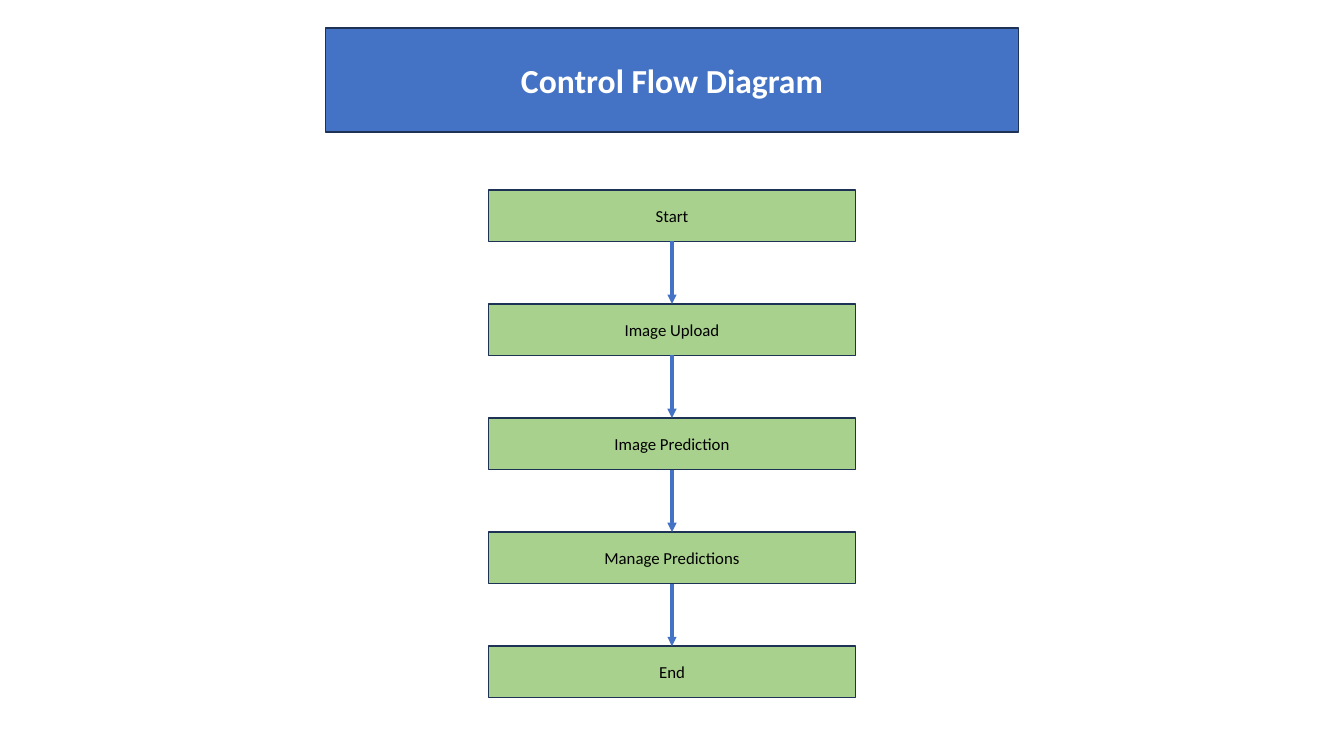
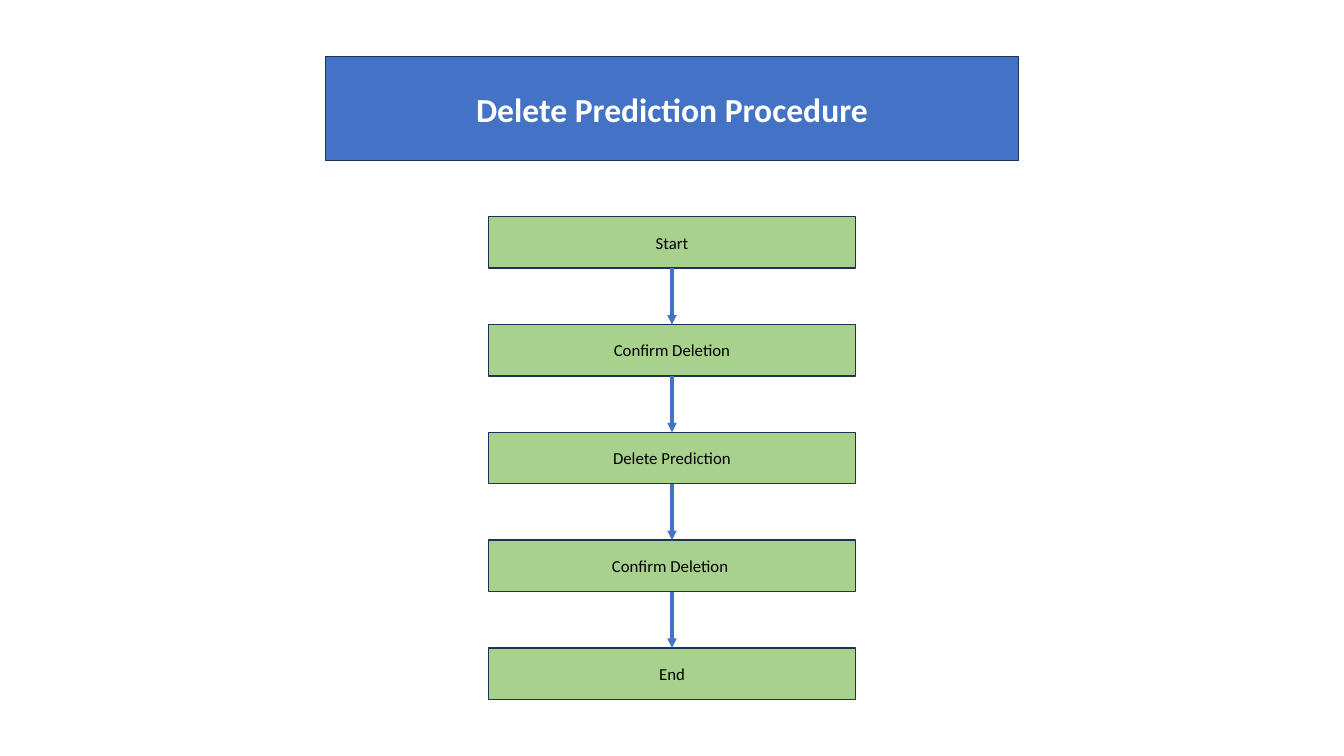
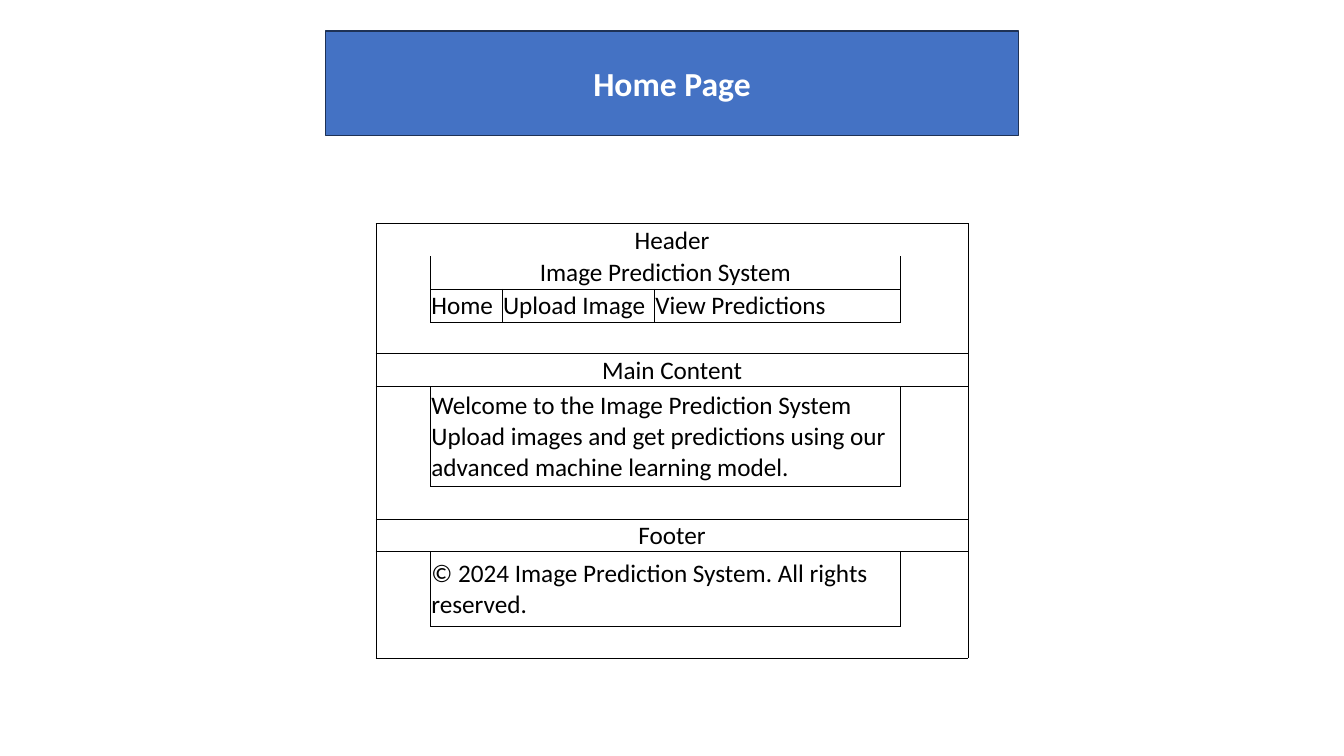
"""Build two procedure flows and a home page wireframe."""
from collections import defaultdict

from lxml import etree
from pptx import Presentation
from pptx import util as u
from pptx.dml.color import RGBColor
from pptx.enum import shapes, text
from pptx.oxml.ns import qn

COLORS = {
    "band": "4472C4",
    "step": "A9D18E",
    "outline": "1E3256",
    "light": "FFFFFF",
    "ink": "000000",
}
TITLE_FONT = {"name": "Calibri", "size": u.Pt(24), "bold": True}
STEP_FONT = {"name": "Calibri", "size": u.Pt(12), "bold": False}
CELL_FONT = {"name": "Calibri", "size": u.Pt(18), "bold": False}
CELL_FORMAT = {
    "margin_left": u.Pt(0.75),
    "margin_right": u.Pt(0.75),
    "margin_top": u.Pt(0.75),
    "margin_bottom": 0,
    "vertical_anchor": text.MSO_ANCHOR.MIDDLE,
}
FRAME_FORMAT = {
    "word_wrap": True,
    "auto_size": text.MSO_AUTO_SIZE.NONE,
    "vertical_anchor": text.MSO_ANCHOR.MIDDLE,
}
CENTER, LEFT = text.PP_ALIGN.CENTER, text.PP_ALIGN.LEFT
PAGE_WIDTH, PAGE_HEIGHT = 960, 540
TITLE_WIDTH, TITLE_HEIGHT = 495, 74.4
STEP_WIDTH, STEP_HEIGHT = 262, 36.8
NO_GRID_STYLE = "{2D5ABB26-0587-4C30-8999-92F81FD0307C}"

FLOWS = [
    ("Control Flow Diagram", 20, 135.6, 81.5,
     ["Start", "Image Upload", "Image Prediction", "Manage Predictions", "End"]),
    ("Delete Prediction Procedure", 40.4, 154.8, 77,
     ["Start", "Confirm Deletion", "Delete Prediction", "Confirm Deletion ", "End"]),
]

COLUMN_WIDTHS = [38.8, 51.2, 108.8, 175.8, 48.4]
ROW_HEIGHTS = [23.4, 23.4, 23.4, 22.4, 23.4, 71.2, 23.4, 23.4, 53.2, 22.4]
# row, first column, last column, alignment, wording
WIREFRAME = [
    (0, 0, 4, CENTER, "Header"),
    (1, 1, 3, CENTER, "Image Prediction System"),
    (2, 1, 1, LEFT, "Home"),
    (2, 2, 2, LEFT, "Upload Image"),
    (2, 3, 3, LEFT, "View Predictions"),
    (4, 0, 4, CENTER, "Main Content"),
    (5, 1, 3, LEFT, "Welcome to the Image Prediction System\v"
     "Upload images and get predictions using our advanced machine learning model."),
    (7, 0, 4, CENTER, "Footer"),
    (8, 1, 3, LEFT, "© 2024 Image Prediction System. All rights reserved."),
]
SECTION_ROWS = [(0, 3), (4, 6), (7, 9)]


def apply(target, values):
    """Set every attribute in a format dict."""
    for name, value in values.items():
        setattr(target, name, value)


def color(name):
    """Look up a palette colour."""
    return RGBColor.from_string(COLORS[name])


def write(para, wording, font, ink, align):
    """Write one formatted paragraph."""
    para.text = wording
    para.alignment = align
    for span in para.runs:
        apply(span.font, font)
        span.font.color.rgb = color(ink)


def style_box(box, wording, fill, font, ink):
    """Give a box its fill, outline and centred wording."""
    box.fill.solid()
    box.fill.fore_color.rgb = color(fill)
    box.line.color.rgb = color("outline")
    box.line.width = u.Pt(1)
    apply(box.text_frame, FRAME_FORMAT)
    write(box.text_frame.paragraphs[0], wording, font, ink, CENTER)


def add_page(deck, title, top):
    """Add a page with the shared title band."""
    page = deck.slides.add_slide(deck.slide_layouts[5])
    band = page.shapes.title
    apply(band, {"left": u.Pt((PAGE_WIDTH - TITLE_WIDTH) / 2), "top": u.Pt(top),
                 "width": u.Pt(TITLE_WIDTH), "height": u.Pt(TITLE_HEIGHT)})
    style_box(band, title, "band", TITLE_FONT, "light")
    return page


def add_step(page, wording, top):
    """Add one centred step of a flow."""
    box = page.shapes.add_shape(
        shapes.MSO_SHAPE.RECTANGLE, u.Pt((PAGE_WIDTH - STEP_WIDTH) / 2),
        u.Pt(top), u.Pt(STEP_WIDTH), u.Pt(STEP_HEIGHT))
    box.shadow.inherit = False
    style_box(box, wording, "step", STEP_FONT, "ink")
    return box


def add_arrow(page, upper, lower):
    """Join two steps with a downward arrow."""
    arrow = page.shapes.add_connector(shapes.MSO_CONNECTOR.STRAIGHT, 0, 0, 0, 0)
    arrow.begin_connect(upper, 2)
    arrow.end_connect(lower, 0)
    arrow.line.color.rgb = color("band")
    arrow.line.width = u.Pt(2.25)
    etree.SubElement(arrow.line._get_or_add_ln(), qn("a:tailEnd"), type="triangle")
    etree.SubElement(arrow._element.spPr, qn("a:effectLst"))


def add_flow(page, top, pitch, steps):
    """Stack evenly spaced steps and join neighbours."""
    boxes = [add_step(page, step, top + index * pitch)
             for index, step in enumerate(steps)]
    for upper, lower in zip(boxes, boxes[1:]):
        add_arrow(page, upper, lower)


def mark_frame(edges, first_row, last_row, first, last, top=True):
    """Record a frame's edges on the cells at both sides of each line."""
    for row in range(first_row, last_row + 1):
        edges[row, first].add("L")
        edges[row, first - 1].add("R")
        edges[row, last].add("R")
        edges[row, last + 1].add("L")
    for column in range(first, last + 1):
        edges[last_row, column].add("B")
        edges[last_row + 1, column].add("T")
        if top:
            edges[first_row, column].add("T")
            edges[first_row - 1, column].add("B")


def draw_edges(cell, sides):
    """Draw thin borders on the given sides of a cell."""
    properties = cell._tc.get_or_add_tcPr()
    ordered = [side for side in "LRTB" if side in sides]
    for index, side in enumerate(ordered):
        line = etree.Element(qn(f"a:ln{side}"), w=str(u.Pt(0.5)))
        fill = etree.SubElement(line, qn("a:solidFill"))
        etree.SubElement(fill, qn("a:srgbClr"), val=COLORS["ink"])
        properties.insert(index, line)


def add_wireframe(page, left, top):
    """Add the home page layout as a table."""
    table = page.shapes.add_table(
        len(ROW_HEIGHTS), len(COLUMN_WIDTHS), u.Pt(left), u.Pt(top),
        u.Pt(sum(COLUMN_WIDTHS)), u.Pt(sum(ROW_HEIGHTS))).table
    apply(table, {"first_row": False, "horz_banding": False})
    table._tbl.tblPr.find(qn("a:tableStyleId")).text = NO_GRID_STYLE
    for column, width in zip(table.columns, COLUMN_WIDTHS):
        column.width = u.Pt(width)
    for row, height in zip(table.rows, ROW_HEIGHTS):
        row.height = u.Pt(height)

    edges = defaultdict(set)
    for first_row, last_row in SECTION_ROWS:
        mark_frame(edges, first_row, last_row, 0, 4)
    for row, first, last, align, wording in WIREFRAME:
        cell = table.cell(row, first)
        write(cell.text_frame.paragraphs[0], wording, CELL_FONT, "ink", align)
        if first > 0:
            mark_frame(edges, row, row, first, last, top=False)
        if last > first:
            cell.merge(table.cell(row, last))
            edges[row, first] |= edges[row, last]
    table.cell(6, 1).merge(table.cell(6, 3))

    for row in range(len(ROW_HEIGHTS)):
        for column in range(len(COLUMN_WIDTHS)):
            cell = table.cell(row, column)
            apply(cell, CELL_FORMAT)
            cell.fill.solid()
            cell.fill.fore_color.rgb = color("light")
            draw_edges(cell, edges[row, column])


def main():
    """Build and save the deck."""
    deck = Presentation()
    apply(deck, {"slide_width": u.Pt(PAGE_WIDTH), "slide_height": u.Pt(PAGE_HEIGHT)})
    for title, title_top, top, pitch, steps in FLOWS:
        add_flow(add_page(deck, title, title_top), top, pitch, steps)
    add_wireframe(add_page(deck, "Home Page", 22.2), 268.6, 159.8)
    deck.save("out.pptx")


if __name__ == "__main__":
    main()
